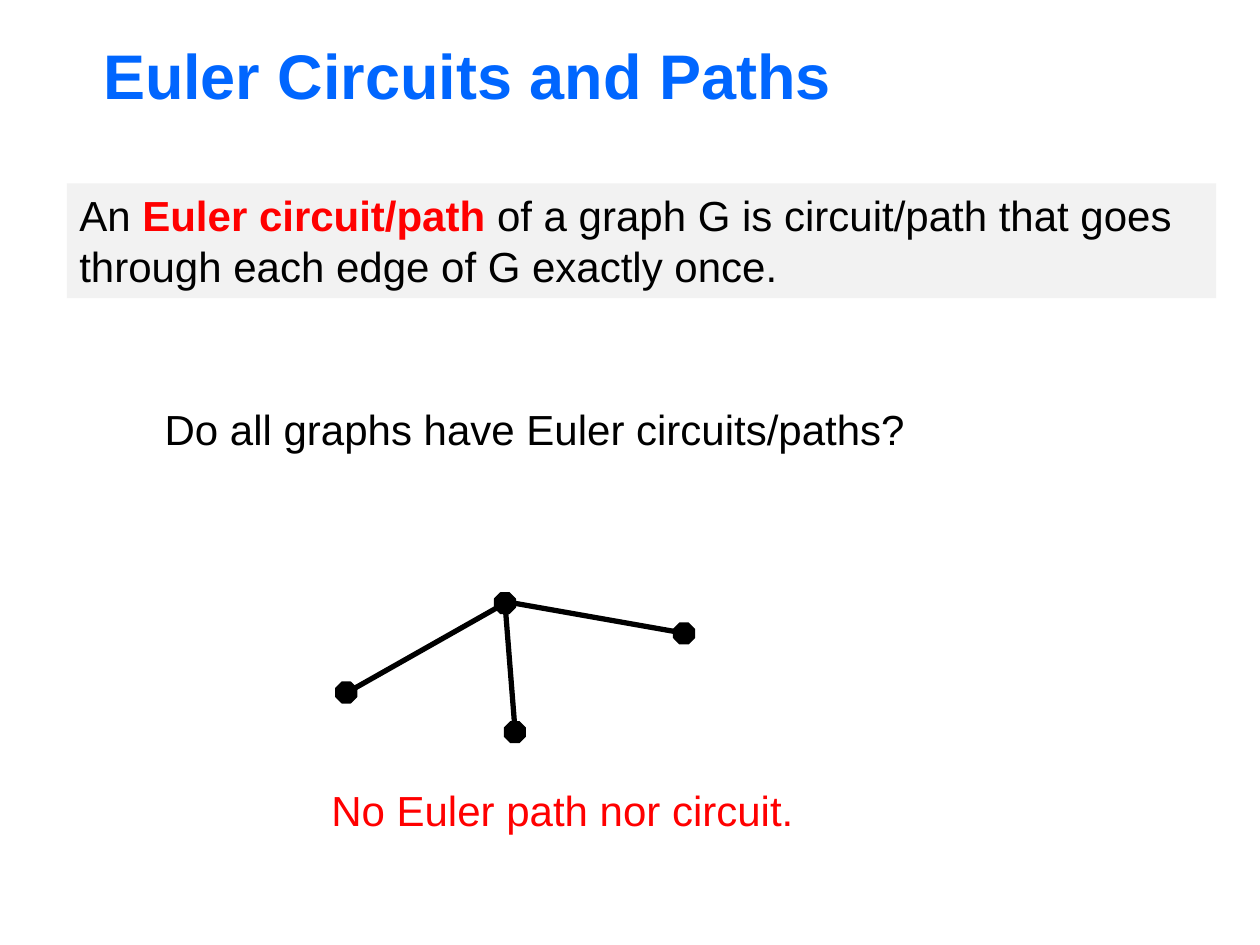
"""Build the slide that introduces Euler circuits and paths."""
from lxml.etree import SubElement
from pptx import Presentation
from pptx.dml.color import RGBColor
from pptx.enum.shapes import MSO_CONNECTOR, MSO_SHAPE
from pptx.enum.text import MSO_ANCHOR, PP_ALIGN
from pptx.oxml.ns import qn
from pptx.util import Cm, Pt

BLUE = RGBColor(0x00, 0x66, 0xFF)
RED = RGBColor(0xFF, 0x00, 0x00)
BLACK = RGBColor(0x00, 0x00, 0x00)
LIGHT_GRAY = RGBColor(0xF2, 0xF2, 0xF2)
NODE_SIZE = 0.42


def write_runs(shape, runs, size=24, wrap=True, anchor=MSO_ANCHOR.TOP):
    text_frame = shape.text_frame
    text_frame.word_wrap = wrap
    text_frame.vertical_anchor = anchor
    paragraph = text_frame.paragraphs[0]
    paragraph.alignment = PP_ALIGN.LEFT
    for text, color, bold in runs:
        run = paragraph.add_run()
        run.text = text
        run.font.name = "Arial"
        run.font.size = Pt(size)
        run.font.bold = bold
        run.font.color.rgb = color


presentation = Presentation()
presentation.slide_width = Cm(25.4)
presentation.slide_height = Cm(19.05)
slide = presentation.slides.add_slide(presentation.slide_layouts[6])

title = slide.shapes.add_textbox(Cm(1.83), Cm(0.64), Cm(21.59), Cm(1.73))
write_runs(title, [("Euler Circuits and Paths", BLUE, True)], size=36, anchor=MSO_ANCHOR.MIDDLE)

definition = slide.shapes.add_shape(MSO_SHAPE.RECTANGLE, Cm(1.35), Cm(3.7), Cm(23.17), Cm(2.31))
definition.shadow.inherit = False
definition.fill.solid()
definition.fill.fore_color.rgb = LIGHT_GRAY
definition.line.fill.background()
write_runs(definition, [
    ("An ", BLACK, False),
    ("Euler circuit/path", RED, True),
    (" of a graph G is circuit/path that goes through each edge of G exactly once.", BLACK, False),
])

question = slide.shapes.add_textbox(Cm(3.07), Cm(8), Cm(15.82), Cm(1.28))
write_runs(question, [("Do all graphs have Euler circuits/paths?", BLACK, False)], wrap=False)

for left, top in [(6.77, 13.75), (13.58, 12.56), (10.17, 14.55), (9.97, 11.95)]:
    node = slide.shapes.add_shape(MSO_SHAPE.OCTAGON, Cm(left), Cm(top), Cm(NODE_SIZE), Cm(NODE_SIZE))
    node.shadow.inherit = False
    node.fill.solid()
    node.fill.fore_color.rgb = BLACK
    node.line.color.rgb = BLACK
    node.line.width = Pt(0.75)

edges = [
    (10.37, 14.55, 10.18, 12.16),
    (6.98, 13.97, 10.18, 12.16),
    (10.37, 12.16, 13.77, 12.76),
]
for edge in edges:
    connector = slide.shapes.add_connector(MSO_CONNECTOR.STRAIGHT, *[Cm(value) for value in edge])
    connector.line.color.rgb = BLACK
    connector.line.width = Pt(3)
    SubElement(connector.element.spPr, qn("a:effectLst"))

answer = slide.shapes.add_textbox(Cm(6.43), Cm(15.7), Cm(10.16), Cm(1.28))
write_runs(answer, [("No Euler path nor circuit.", RED, False)], wrap=False)

presentation.save("out.pptx")
